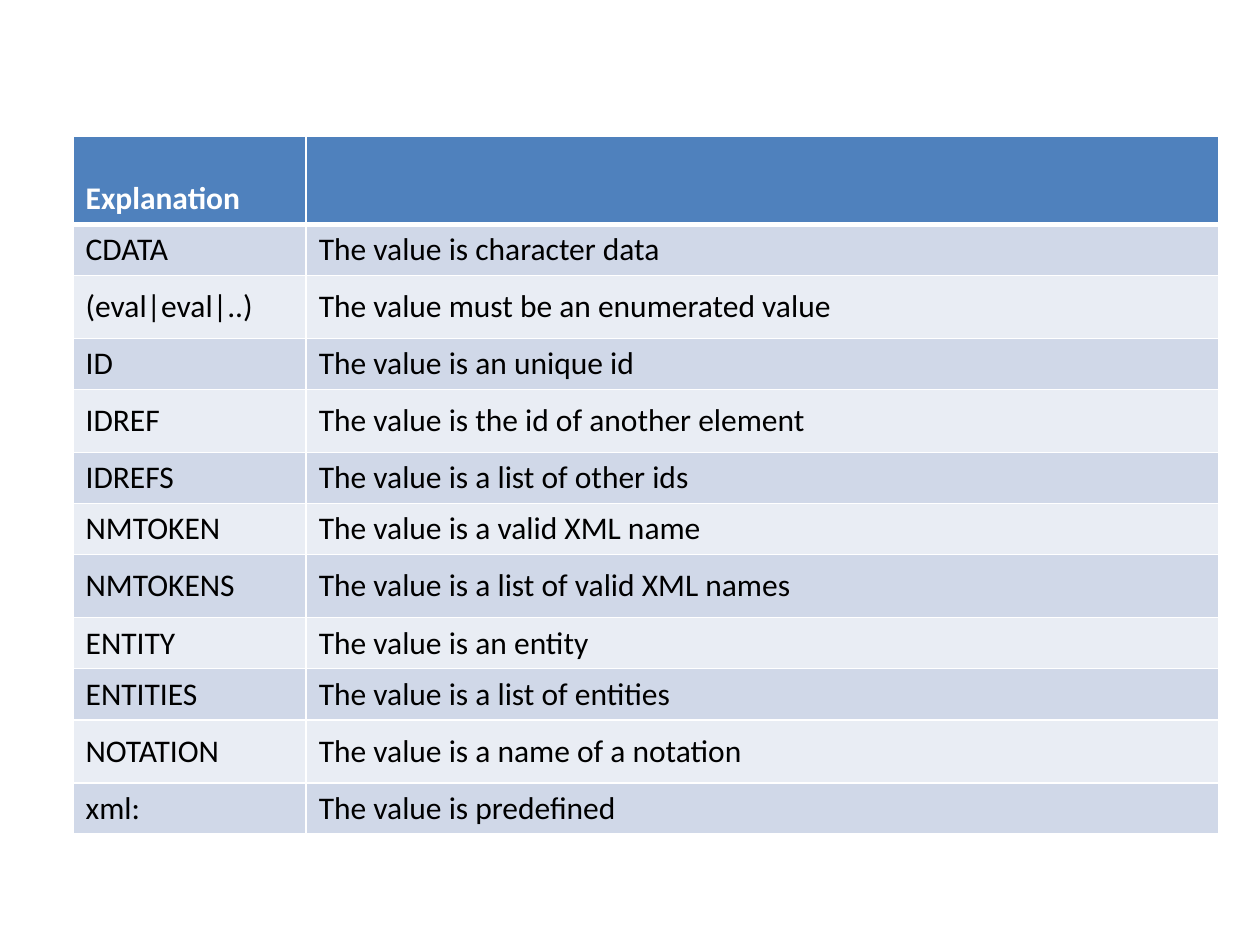
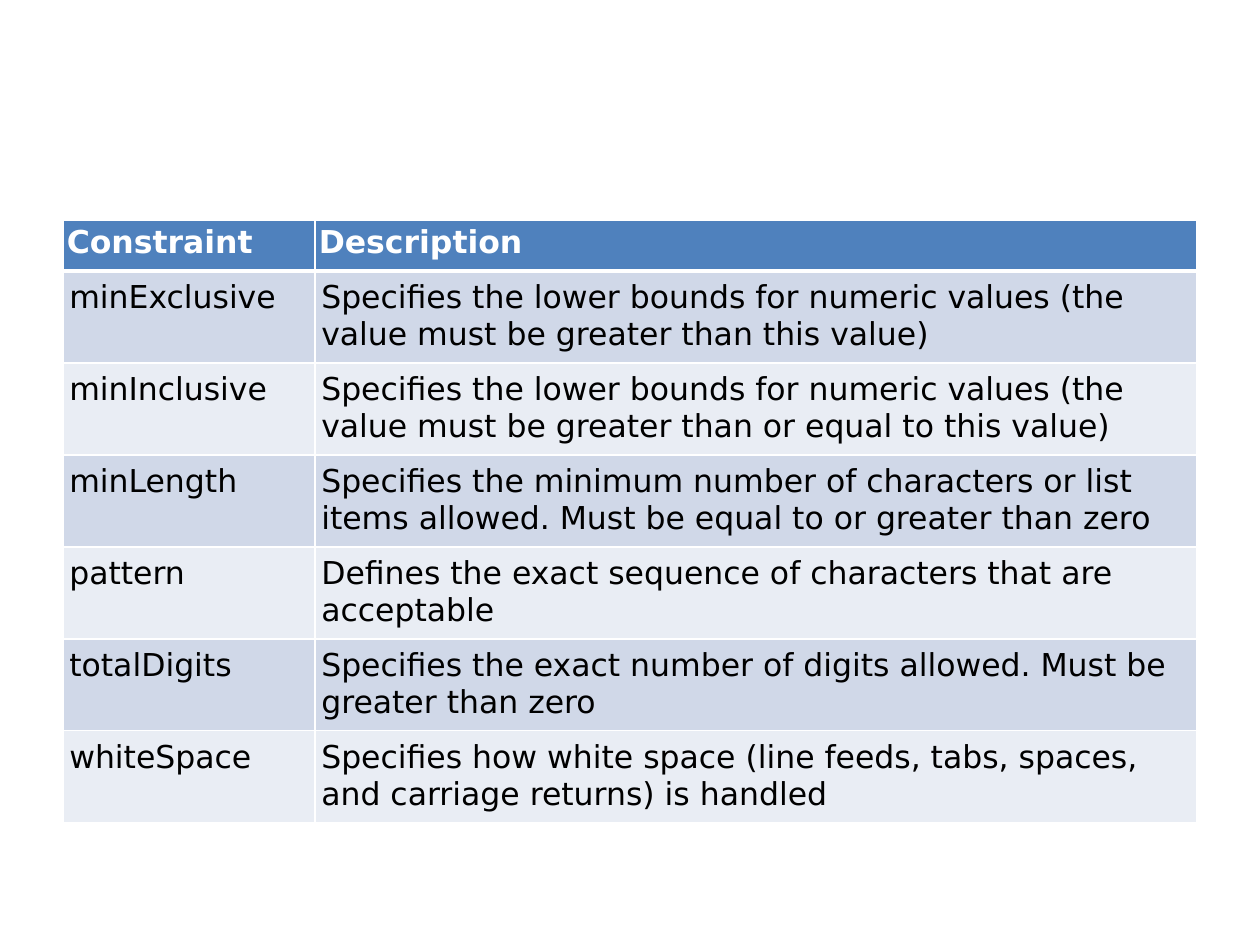
from lxml import etree
from pptx import Presentation
from pptx.dml.color import RGBColor
from pptx.enum.text import MSO_ANCHOR
from pptx.oxml.ns import qn
from pptx.util import Inches, Pt

HEADER_FILL = "4F81BD"
BAND_FILLS = ("D0D8E8", "E9EDF4")
WHITE = "FFFFFF"
BLACK = "000000"
TEXT_SIZE = 18

ATTRIBUTE_TYPES = [
    ("Explanation", ""),
    ("CDATA", "The value is character data"),
    ("(eval|eval|..)", "The value must be an enumerated value"),
    ("ID", "The value is an unique id"),
    ("IDREF", "The value is the id of another element"),
    ("IDREFS", "The value is a list of other ids"),
    ("NMTOKEN", "The value is a valid XML name"),
    ("NMTOKENS", "The value is a list of valid XML names"),
    ("ENTITY", "The value is an entity"),
    ("ENTITIES", "The value is a list of entities"),
    ("NOTATION", "The value is a name of a notation"),
    ("xml:", "The value is predefined"),
]
TALL_TYPES = {"(eval|eval|..)", "IDREF", "NMTOKENS", "NOTATION"}

CONSTRAINTS = [
    ("Constraint", "Description"),
    ("minExclusive", "Specifies the lower bounds for numeric values (the value must be greater than this value)"),
    ("minInclusive", "Specifies the lower bounds for numeric values (the value must be greater than or equal to this value)"),
    ("minLength", "Specifies the minimum number of characters or list items allowed. Must be equal to or greater than zero"),
    ("pattern", "Defines the exact sequence of characters that are acceptable"),
    ("totalDigits", "Specifies the exact number of digits allowed. Must be greater than zero"),
    ("whiteSpace", "Specifies how white space (line feeds, tabs, spaces, and carriage returns) is handled"),
]

TABLES = [
    dict(
        rows=ATTRIBUTE_TYPES,
        left=0.58, top=1.08,
        widths=(1.85, 7.24),
        heights=[0.7] + [0.5 if name in TALL_TYPES else 0.4 for name, _ in ATTRIBUTE_TYPES[1:]],
        font="Calibri",
        header=dict(margins=(0.1, 0.05), anchor=MSO_ANCHOR.BOTTOM),
        body=dict(margins=(0.1, 0.05), anchor=MSO_ANCHOR.MIDDLE),
    ),
    dict(
        rows=CONSTRAINTS,
        left=0.5, top=1.75,
        widths=(2, 7),
        heights=[0.4] + [0.73] * (len(CONSTRAINTS) - 1),
        font="DejaVu Sans",
        header=dict(margins=(0.03, 0.03), anchor=MSO_ANCHOR.TOP),
        body=dict(margins=(0.05, 0.07), anchor=MSO_ANCHOR.TOP),
    ),
]


def color(hex_string):
    return RGBColor.from_string(hex_string)


def write_text(cell, text, font, text_color, bold, margins, anchor):
    cell.margin_left = cell.margin_right = Inches(margins[0])
    cell.margin_top = cell.margin_bottom = Inches(margins[1])
    cell.vertical_anchor = anchor
    paragraph = cell.text_frame.paragraphs[0]
    paragraph.font.size = Pt(TEXT_SIZE)
    if text:
        run = paragraph.add_run()
        run.text = text
        run.font.name = font
        run.font.size = Pt(TEXT_SIZE)
        run.font.bold = bold
        run.font.color.rgb = color(text_color)


def set_borders(cell, **widths):
    properties = cell._tc.get_or_add_tcPr()
    for position, side in enumerate("LRTB"):
        line = etree.Element(qn(f"a:ln{side}"), w=str(Pt(widths.get(side, 1))))
        fill = etree.SubElement(line, qn("a:solidFill"))
        etree.SubElement(fill, qn("a:srgbClr"), val=WHITE)
        properties.insert(position, line)


def add_table(slide, rows, left, top, widths, heights, font, header, body):
    frame = slide.shapes.add_table(
        len(rows), len(widths), Inches(left), Inches(top),
        Inches(sum(widths)), Inches(sum(heights)),
    )
    table = frame.table
    for column, width in zip(table.columns, widths):
        column.width = Inches(width)
    for row_index, (texts, height) in enumerate(zip(rows, heights)):
        is_header = row_index == 0
        table.rows[row_index].height = Inches(height)
        for cell, text in zip(table.rows[row_index].cells, texts):
            cell.fill.solid()
            cell.fill.fore_color.rgb = color(
                HEADER_FILL if is_header else BAND_FILLS[(row_index - 1) % 2])
            write_text(cell, text, font=font, bold=is_header,
                       text_color=WHITE if is_header else BLACK,
                       **(header if is_header else body))
            set_borders(cell, B=3 if is_header else 1, T=3 if row_index == 1 else 1)


def main():
    presentation = Presentation()
    presentation.slide_width = Inches(10)
    presentation.slide_height = Inches(7.5)
    blank_layout = presentation.slide_layouts[6]
    for table in TABLES:
        add_table(presentation.slides.add_slide(blank_layout), **table)
    presentation.save("out.pptx")


if __name__ == "__main__":
    main()
